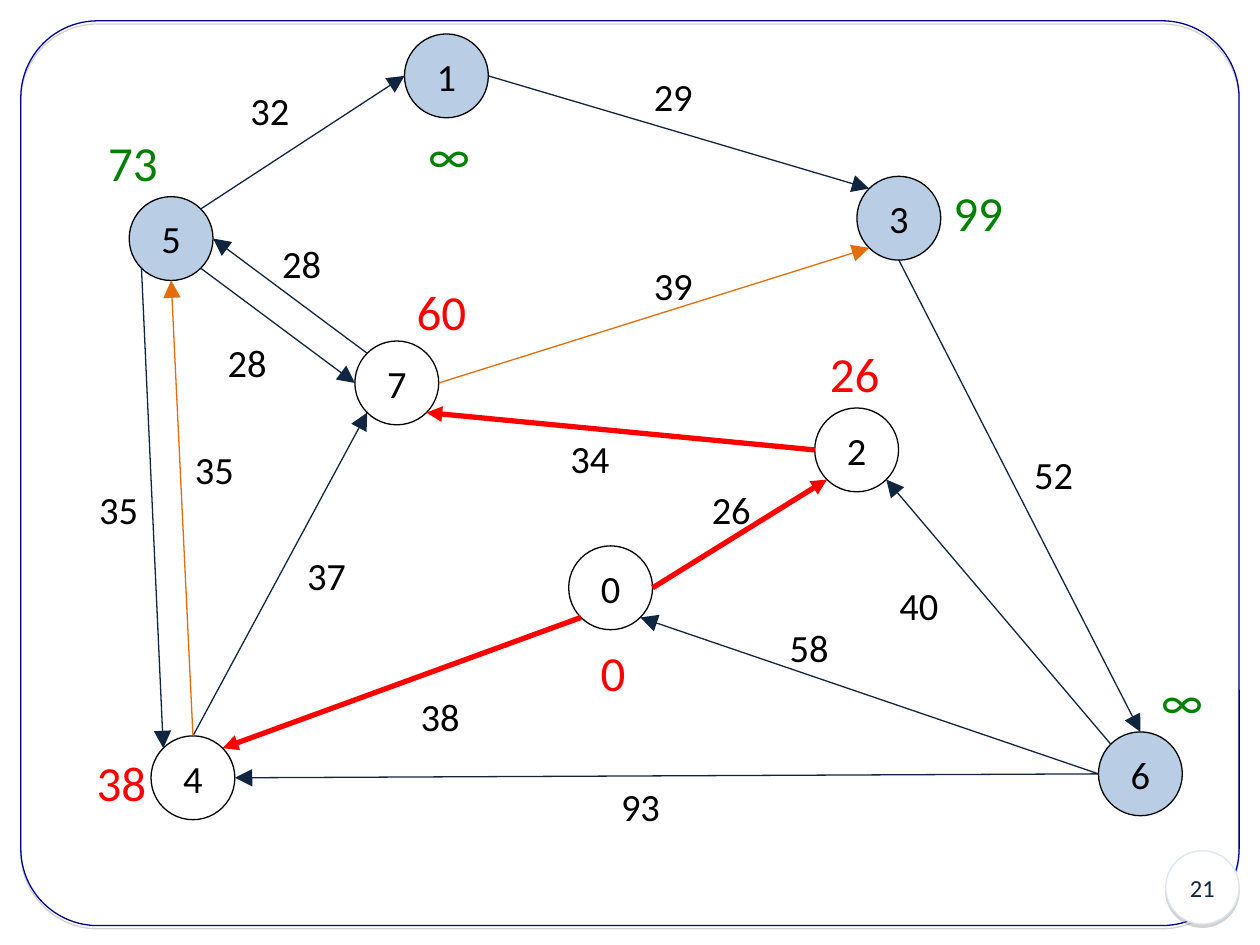
from lxml import etree
from pptx import Presentation
from pptx import util as u
from pptx.dml.color import RGBColor
from pptx.enum import shapes, text
from pptx.oxml.ns import qn

THEME = {
    "font": "Calibri", "label_size": 22, "distance_size": 28, "page_size": 14,
    "ink": "000000", "navy": "10253F", "frame": "000090", "badge_line": "DCE6F2",
    "done": "FFFFFF", "open": "B9CDE5", "shadow": "808080",
    "red": "FF0000", "green": "008000", "orange": "E46C0A",
}
DIAMETER = 1.69
DIAGONAL = 0.5 ** 0.5
SITES = {
    "top": (0, -1), "bottom": (0, 1), "left": (-1, 0), "right": (1, 0),
    "top left": (-DIAGONAL, -DIAGONAL), "top right": (DIAGONAL, -DIAGONAL),
    "bottom left": (-DIAGONAL, DIAGONAL), "bottom right": (DIAGONAL, DIAGONAL),
}
EDGE_STYLES = {
    "plain": ("navy", 0.75, "lg"),
    "candidate": ("orange", 0.75, "lg"),
    "tree": ("red", 3, "med"),
}

NODES = {
    "0": (12.31, 11.85, "done"),
    "3": (18.12, 4.4, "open"),
    "4": (3.89, 15.68, "done"),
    "2": (17.27, 9.07, "done"),
    "5": (3.45, 4.81, "open"),
    "6": (22.99, 15.6, "open"),
    "1": (9, 1.53, "open"),
    "7": (8, 7.72, "done"),
}
EDGES = [
    ("6", "left", "4", "right", "plain", "93", 12.27, 15.67),
    ("6", "left", "0", "bottom right", "plain", "58", 15.67, 12.45),
    ("6", "top left", "2", "bottom right", "plain", "40", 17.88, 11.61),
    ("3", "bottom", "6", "top", "plain", "52", 20.6, 8.97),
    ("0", "right", "2", "bottom left", "tree", "26", 14.1, 9.68),
    ("2", "left", "7", "bottom right", "tree", "34", 11.25, 8.64),
    ("7", "right", "3", "bottom left", "candidate", "39", 12.93, 5.16),
    ("0", "bottom left", "4", "top right", "tree", "38", 8.23, 13.84),
    ("4", "top", "7", "bottom left", "plain", "37", 5.94, 11),
    ("4", "top", "5", "bottom", "candidate", "35", 3.68, 8.86),
    ("5", "bottom left", "4", "top left", "plain", "35", 1.75, 9.68),
    ("7", "top left", "5", "right", "plain", "28", 5.44, 4.72),
    ("5", "bottom right", "7", "left", "plain", "28", 4.34, 6.71),
    ("5", "top right", "1", "left", "plain", "32", 4.8, 1.63),
    ("1", "right", "3", "top left", "plain", "29", 12.93, 1.35),
]
DISTANCES = [
    ("0", 11.86, 12.83, 0.99, "red"),
    ("99", 18.97, 3.56, 1.5, "green"),
    ("∞", 8.38, 2.39, 1.35, "green"),
    ("73", 1.93, 2.54, 1.5, "green"),
    ("60", 8.15, 5.56, 1.5, "red"),
    ("26", 16.48, 6.81, 1.5, "red"),
    ("∞", 23.16, 13.39, 1.35, "green"),
    ("38", 1.7, 15.04, 1.5, "red"),
]


def color(name):
    return RGBColor.from_string(THEME[name])


def write(shape, words, size, ink, **frame_format):
    frame = shape.text_frame
    for name, value in frame_format.items():
        setattr(frame, name, value)
    paragraph = frame.paragraphs[0]
    paragraph.text = words
    paragraph.alignment = text.PP_ALIGN.LEFT
    for name, value in {"name": THEME["font"], "size": u.Pt(THEME[size])}.items():
        setattr(paragraph.font, name, value)
    paragraph.font.color.rgb = color(ink)
    return paragraph


def add_outline(slide, kind, left, top, width, height, line, fill=None):
    shape = slide.shapes.add_shape(kind, *map(u.Cm, (left, top, width, height)))
    shape.shadow.inherit = False
    if fill:
        shape.fill.solid()
        shape.fill.fore_color.rgb = color(fill)
    else:
        shape.fill.background()
    shape.line.color.rgb = color(line)
    shape.line.width = u.Pt(0.75)
    return shape


def add_circle(slide, left, top, size, line, fill, words, type_size, ink):
    shape = add_outline(slide, shapes.MSO_SHAPE.OVAL, left, top, size, size, line, fill)
    paragraph = write(shape, words, type_size, ink, word_wrap=False,
                      vertical_anchor=text.MSO_ANCHOR.MIDDLE)
    paragraph.alignment = text.PP_ALIGN.CENTER
    return shape


def cast_shadow(shape):
    effects = shape._element.spPr.find(qn("a:effectLst"))
    shadow = etree.SubElement(effects, qn("a:outerShdw"), blurRad="0",
                              dist=str(u.Pt(1.8)), dir="5400000", rotWithShape="0")
    tint = etree.SubElement(shadow, qn("a:srgbClr"), val=THEME["shadow"])
    etree.SubElement(tint, qn("a:alpha"), val="35000")


def add_label(slide, words, left, top, width, height, size, ink):
    box = slide.shapes.add_textbox(*map(u.Cm, (left, top, width, height)))
    write(box, words, size, ink, word_wrap=False,
          auto_size=text.MSO_AUTO_SIZE.SHAPE_TO_FIT_TEXT)


def site(node, side):
    x, y, _ = NODES[node]
    dx, dy = SITES[side]
    return u.Cm(x + dx * DIAMETER / 2), u.Cm(y + dy * DIAMETER / 2)


def add_edge(slide, start, end, style):
    ink, width, head = EDGE_STYLES[style]
    edge = slide.shapes.add_connector(shapes.MSO_CONNECTOR.STRAIGHT, *start, *end)
    edge.line.color.rgb = color(ink)
    edge.line.width = u.Pt(width)
    etree.SubElement(edge.line._get_or_add_ln(), qn("a:tailEnd"),
                     type="triangle", w=head, len=head)
    etree.SubElement(edge._element.spPr, qn("a:effectLst"))


def main():
    presentation = Presentation()
    presentation.slide_width, presentation.slide_height = u.Cm(25.4), u.Cm(19.05)
    slide = presentation.slides.add_slide(presentation.slide_layouts[6])

    frame = add_outline(slide, shapes.MSO_SHAPE.ROUNDED_RECTANGLE,
                        0.42, 0.42, 24.56, 18.24, "frame")
    frame.adjustments[0] = 0.085
    badge = add_circle(slide, 23.5, 17.15, 1.48, "badge_line", "done",
                       "21", "page_size", "navy")
    for shape in (frame, badge):
        cast_shadow(shape)

    for name, (x, y, state) in NODES.items():
        add_circle(slide, x - DIAMETER / 2, y - DIAMETER / 2, DIAMETER,
                   "ink", state, name, "label_size", "ink")
    for source, source_side, target, target_side, style, weight, left, top in EDGES:
        add_edge(slide, site(source, source_side), site(target, target_side), style)
        add_label(slide, weight, left, top, 1.3, 1.19, "label_size", "ink")
    for words, left, top, width, ink in DISTANCES:
        add_label(slide, words, left, top, width, 1.45, "distance_size", ink)

    presentation.save("out.pptx")


if __name__ == "__main__":
    main()
